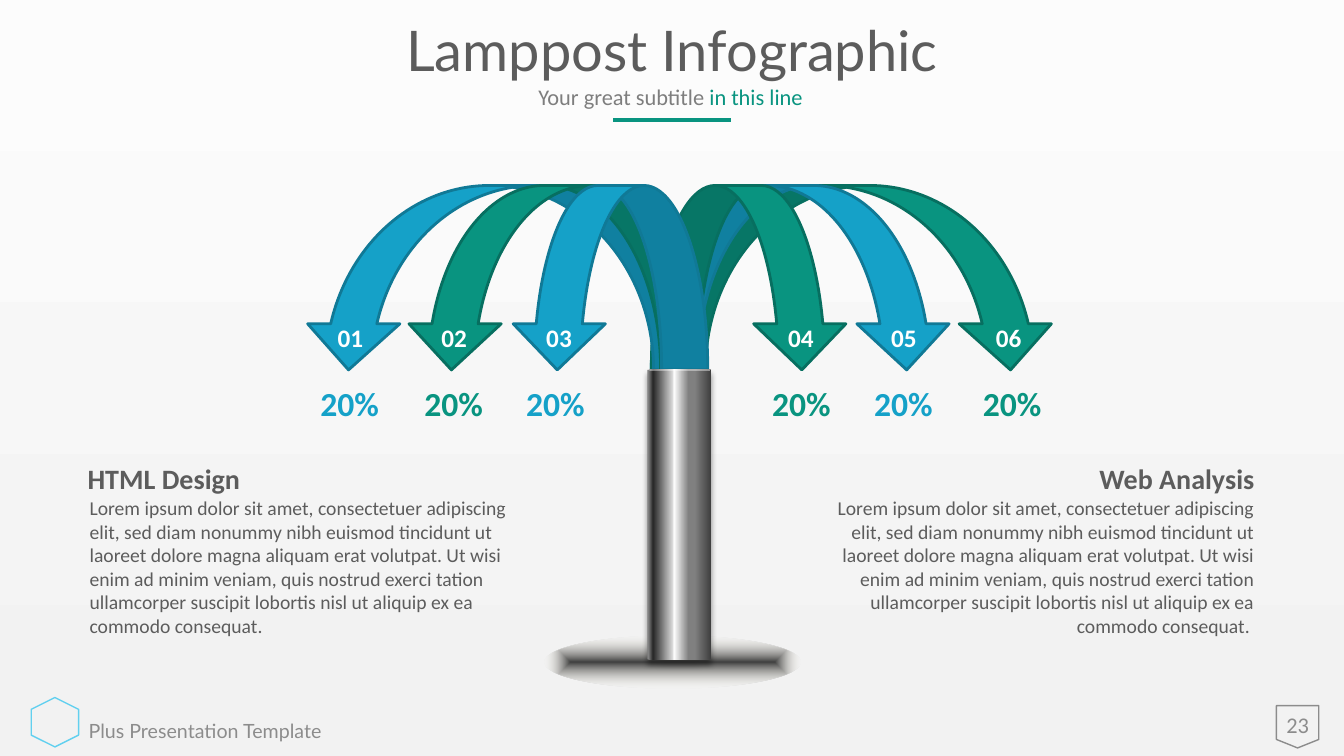
from lxml import etree
from pptx import Presentation
from pptx import util as u
from pptx.dml.color import RGBColor
from pptx.enum import shapes, text
from pptx.oxml.ns import qn

LOREM = (
    "Lorem ipsum dolor sit amet, consectetuer adipiscing elit, sed diam nonummy nibh "
    "euismod tincidunt ut laoreet dolore magna aliquam erat volutpat. Ut wisi enim ad "
    "minim veniam, quis nostrud exerci tation ullamcorper suscipit lobortis nisl ut "
    "aliquip ex ea commodo consequat."
)
TITLE = "Lamppost Infographic"
SUBTITLE = [("Your great subtitle ", "subtitle"), ("in this line", "accent")]
FOOTER = "Plus Presentation Template"
PAGE_NUMBER = "23"

COLUMNS = [
    ("Web Analysis", (10.79, 4.53, 1.75, 0.44), LOREM + " ", (7.94, 4.87, 4.6, 1.51), "right"),
    ("HTML Design", (0.77, 4.53, 1.79, 0.44), LOREM, (0.79, 4.87, 4.6, 1.51), "left"),
]

# number, arrow left, arrow width, palette, mirrored, number left, share, share left
LAMPS = [
    ("06", 6.54, 3.94, "green", False, 9.72, "20%", 9.65),
    ("05", 6.46, 2.99, "blue", False, 8.68, "20%", 8.57),
    ("04", 6.46, 1.95, "green", False, 7.66, "20%", 7.56),
    ("01", 3.0, 3.94, "blue", True, 3.19, "20%", 3.08),
    ("02", 4.02, 2.99, "green", True, 4.22, "20%", 4.11),
    ("03", 5.07, 1.95, "blue", True, 5.26, "20%", 5.12),
]
ARROW_TOP, ARROW_HEIGHT = 1.84, 1.83
NUMBER_TOP, SHARE_TOP = 3.15, 3.75

THEME = {
    "colours": {
        "text": "5C5C5C", "subtitle": "7E7E7E", "muted": "8C8C8C", "white": "FFFFFF",
        "icon": "62D0EF", "accent": "099480",
        "green": "099480", "green_edge": "076F60",
        "blue": "15A1C8", "blue_edge": "107996",
    },
    "sizes": {"title": 40, "share": 24, "heading": 20, "number": 18,
              "subtitle": 16, "page": 16, "body": 14, "footer": 14},
    "fonts": {"title": "Lato", "footer": "Lato"},
    "default_font": "Calibri",
    "backdrop": [(0, "F2F2F2", 100), (100, "FCFCFC", 100)],
    "base": [(0, "404040", 100), (100, "EEECE1", 0)],
    "pole": [(2, "808080", 100), (9, "262626", 100), (40, "D9D9D9", 100),
             (42, "FFFFFF", 100), (65, "808080", 100), (75, "808080", 100),
             (100, "404040", 100)],
}
ALIGN = {"left": text.PP_ALIGN.LEFT, "center": text.PP_ALIGN.CENTER, "right": text.PP_ALIGN.RIGHT}
KIND = shapes.MSO_SHAPE


def colour(name):
    return RGBColor.from_string(THEME["colours"][name])


def apply(target, values):
    for name, value in values.items():
        setattr(target, name, value)


def child(parent, tag, **attributes):
    return etree.SubElement(parent, qn(tag), {k: str(v) for k, v in attributes.items()})


def add_gradient(fill, owner, stops, angle=None):
    fill.gradient()
    gradient = next(owner.iter(qn("a:gradFill")))
    stop_list = gradient.find(qn("a:gsLst"))
    for stop in list(stop_list):
        stop_list.remove(stop)
    for position, value, opacity in stops:
        stop = child(stop_list, "a:gs", pos=position * 1000)
        shade = child(stop, "a:srgbClr", val=value)
        if opacity < 100:
            child(shade, "a:alpha", val=opacity * 1000)
    linear = gradient.find(qn("a:lin"))
    if angle is None:
        gradient.remove(linear)
        centre = child(gradient, "a:path", path="shape")
        child(centre, "a:fillToRect", l=50000, t=50000, r=50000, b=50000)
    else:
        linear.set("ang", str(angle * 60000))


def add_shape(slide, kind, box, fill=None, edge=None, width=1):
    shape = slide.shapes.add_shape(kind, *map(u.Inches, box))
    shape.shadow.inherit = False
    if fill:
        shape.fill.solid()
        shape.fill.fore_color.rgb = colour(fill)
    else:
        shape.fill.background()
    if edge:
        shape.line.color.rgb = colour(edge)
        shape.line.width = u.Pt(width)
    else:
        shape.line.fill.background()
    return shape


def add_text(slide, box, runs, role, align="left", wrap=True, bold=False,
             grow=True, middle=False, spacing=None):
    frame = slide.shapes.add_textbox(*map(u.Inches, box)).text_frame
    apply(frame, {
        "word_wrap": wrap,
        "auto_size": text.MSO_AUTO_SIZE.SHAPE_TO_FIT_TEXT if grow else text.MSO_AUTO_SIZE.NONE,
        "vertical_anchor": text.MSO_ANCHOR.MIDDLE if middle else text.MSO_ANCHOR.TOP,
    })
    paragraph = frame.paragraphs[0]
    apply(paragraph, {"alignment": ALIGN[align], "line_spacing": spacing})
    for words, tint in runs:
        run = paragraph.add_run()
        run.text = words
        apply(run.font, {
            "name": THEME["fonts"].get(role, THEME["default_font"]),
            "size": u.Pt(THEME["sizes"][role]),
            "bold": bold,
        })
        run.font.color.rgb = colour(tint)


def add_header_and_footer(slide):
    add_shape(slide, KIND.FLOWCHART_OFFPAGE_CONNECTOR, (12.66, 7, 0.42, 0.42), edge="muted")
    badge = add_shape(slide, KIND.HEXAGON, (0.3, 6.93, 0.49, 0.47), edge="icon")
    badge.rotation = 270
    add_text(slide, (0.78, 7.08, 2.55, 0.34), [(FOOTER, "muted")], "footer", wrap=False)
    add_text(slide, (2.01, 0, 9.31, 1.06), [(TITLE, "text")], "title", "center",
             grow=False, middle=True, spacing=0.9)
    add_text(slide, (12.63, 6.98, 0.48, 0.42), [(PAGE_NUMBER, "muted")], "page", "center",
             grow=False, middle=True)
    add_text(slide, (5.24, 0.78, 2.85, 0.37), SUBTITLE, "subtitle", wrap=False)
    rule = slide.shapes.add_connector(
        shapes.MSO_CONNECTOR.STRAIGHT, *map(u.Inches, (6.08, 1.19, 7.25, 1.19)))
    rule.line.color.rgb = colour("accent")
    rule.line.width = u.Pt(3.25)
    child(rule._element.spPr, "a:effectLst")


def add_lamppost(slide):
    for _, left, width, palette, mirrored, *_ in LAMPS:
        arrow = add_shape(slide, KIND.CURVED_DOWN_ARROW, (left, ARROW_TOP, width, ARROW_HEIGHT),
                          palette, palette + "_edge", 2)
        if mirrored:
            arrow._element.spPr.find(qn("a:xfrm")).set("flipH", "1")

    pole = add_shape(slide, KIND.CAN, (6.42, 3.66, 0.63, 2.89))
    pole.adjustments[0] = 0.03
    add_gradient(pole.fill, pole._element, THEME["pole"], 0)
    effects = pole._element.spPr.find(qn("a:effectLst"))
    shadow = child(effects, "a:outerShdw", blurRad=u.Pt(4), dist=u.Pt(3),
                   dir=90 * 60000, rotWithShape=0)
    child(child(shadow, "a:srgbClr", val="000000"), "a:alpha", val=40000)

    for number, _, _, palette, _, number_left, share, share_left in LAMPS:
        add_text(slide, (number_left, NUMBER_TOP, 0.57, 0.4), [(number, "white")],
                 "number", "center", bold=True)
        add_text(slide, (share_left, SHARE_TOP, 0.79, 0.5), [(share, palette)],
                 "share", wrap=False, bold=True)


def main():
    presentation = Presentation()
    apply(presentation, {"slide_width": u.Inches(13.33), "slide_height": u.Inches(7.5)})
    slide = presentation.slides.add_slide(presentation.slide_layouts[6])
    add_gradient(slide.background.fill, slide._element, THEME["backdrop"], 270)
    add_header_and_footer(slide)
    base = add_shape(slide, KIND.OVAL, (5.4, 6.31, 2.54, 0.52))
    add_gradient(base.fill, base._element, THEME["base"])
    for heading, heading_box, body, body_box, align in COLUMNS:
        add_text(slide, body_box, [(body, "text")], "body", align)
        add_text(slide, heading_box, [(heading, "text")], "heading", align, wrap=False, bold=True)
    add_lamppost(slide)
    presentation.save("out.pptx")


if __name__ == "__main__":
    main()
